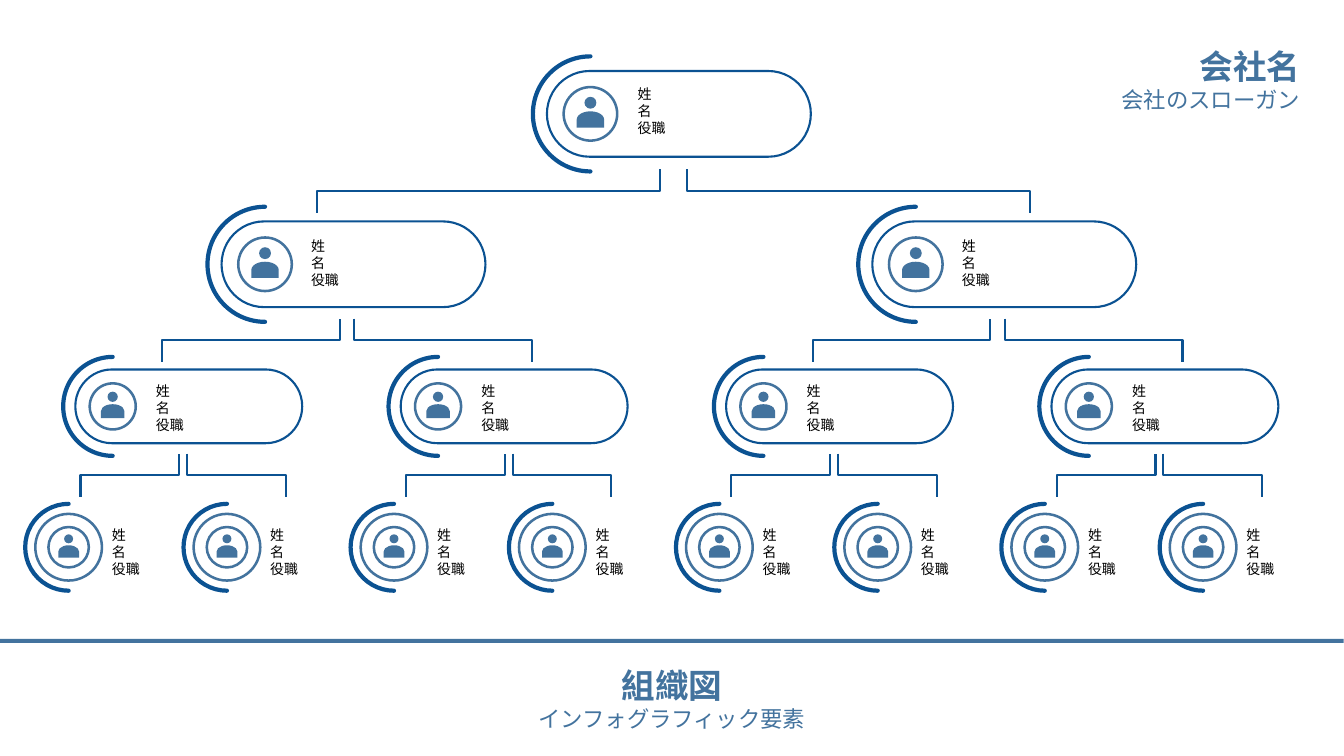
import pptx
import pptx.util
import pptx.dml.color
import pptx.enum.shapes
import pptx.enum.text
import lxml.etree

Cm = pptx.util.Cm
Pt = pptx.util.Pt
RGB = pptx.dml.color.RGBColor
Kind = pptx.enum.shapes.MSO_SHAPE
Align = pptx.enum.text.PP_ALIGN

hues = {"navy": "0B5292", "steel": "43739E", "blue": "0F6FC6",
        "white": "FFFFFF", "black": "000000"}
face = "DejaVu Serif"
head = {"name": face, "size": Pt(24), "bold": True}
sub = {"name": face, "size": Pt(16), "bold": False}
small = {"name": face, "size": Pt(10)}

deck = pptx.Presentation()
deck.slide_width = Cm(33.87)
deck.slide_height = Cm(19.05)
slide = deck.slides.add_slide(deck.slide_layouts[6])


def draw(home, kind, mid, size, fill=None, line=None, width=0, turn=0):
    (x, y), (w, h) = mid, size
    shape = home.add_shape(kind, Cm(x - w / 2), Cm(y - h / 2), Cm(w), Cm(h))
    shape.shadow.inherit = False
    shape.rotation = turn
    if fill:
        shape.fill.solid()
        shape.fill.fore_color.rgb = RGB.from_string(hues[fill])
    else:
        shape.fill.background()
    if line:
        shape.line.color.rgb = RGB.from_string(hues[line])
        shape.line.width = Pt(width)
    else:
        shape.line.fill.background()
    return shape


def write(home, x, y, w, h, rows, hue, align=Align.LEFT):
    frame = home.add_textbox(Cm(x), Cm(y), Cm(w), Cm(h)).text_frame
    frame.word_wrap = True
    frame.auto_size = pptx.enum.text.MSO_AUTO_SIZE.SHAPE_TO_FIT_TEXT
    for i, (words, style) in enumerate(rows):
        para = frame.add_paragraph() if i else frame.paragraphs[0]
        para.alignment = align
        run = para.add_run()
        run.text = words
        for key, value in style.items():
            setattr(run.font, key, value)
        run.font.color.rgb = RGB.from_string(hues[hue])


write(slide.shapes, 0, 16.64, 33.87, 1.96,
      [("組織図", head), ("インフォグラフィック要素", sub)], "steel", Align.CENTER)
write(slide.shapes, 23.62, 1.04, 9.4, 1.96,
      [("会社名", head), ("会社のスローガン", sub)], "steel", Align.RIGHT)
draw(slide.shapes, Kind.RECTANGLE, (16.93, 16.15), (33.87, 0.1), "steel")

pitch = 8.2
ranks = [
    {"xs": [14.88], "y": 2.87, "scale": 1, "text": (0.94, -0.84, 4.52),
     "fork": (2.1, 4.27, 0.34, 8.64)},
    {"xs": [6.68 + 2 * pitch * i for i in range(2)], "y": 6.66, "scale": 1,
     "text": (0.91, -0.8, 4.5), "fork": (2.06, 8.03, 0.18, 4.48)},
    {"xs": [2.84 + pitch * i for i in range(4)], "y": 10.24, "scale": 0.86,
     "text": (0.84, -0.72, 3.78), "fork": (1.78, 11.43, 0.1, 2.49)},
    {"xs": [1.73 + pitch * i + 3.99 * j for i in range(4) for j in range(2)],
     "y": 13.79, "scale": 0.755, "text": (0.84, -0.64, 2.06), "fork": None},
]
names = [(words, small) for words in ("姓", "名", "役職")]
drop = 1.09

for rank in ranks:
    y, k = rank["y"], rank["scale"]
    for x in rank["xs"]:
        card = slide.shapes.add_group_shape().shapes
        if rank["fork"]:
            draw(card, Kind.FLOWCHART_TERMINATOR, (x + 2.23 * k, y),
                 (6.65 * k, 2.16 * k), "white", "navy", 1.5)
        else:
            draw(card, Kind.OVAL, (x, y), (1.68, 1.68), None, "steel", 1.8)
        arc = draw(card, Kind.BLOCK_ARC, (x, y), (2.9 * k, 2.9 * k),
                   "blue", "navy", 3, 270)
        arc.adjustments[2] = 0
        draw(card, Kind.OVAL, (x, y), (1.35 * k, 1.35 * k), None, "steel", 1.8)
        draw(card, Kind.OVAL, (x, y - 0.28 * k), (0.3 * k, 0.3 * k), "steel")
        draw(card, Kind.FLOWCHART_DELAY, (x, y + 0.14 * k),
             (0.41 * k, 0.69 * k), "steel", turn=270)
        dx, dy, wide = rank["text"]
        write(card, x + dx, y + dy, wide, 1.52, names, "black")

        if rank["fork"]:
            shift, top, gap, reach = rank["fork"]
            for side in (-1, 1):
                mid = x + shift + side * (gap + reach / 2)
                level = top + drop / 2
                wire = slide.shapes.add_connector(
                    pptx.enum.shapes.MSO_CONNECTOR.ELBOW,
                    Cm(mid + side * drop / 2), Cm(level - reach / 2),
                    Cm(mid - side * drop / 2), Cm(level + reach / 2))
                wire.line.color.rgb = RGB.from_string(hues["navy"])
                wire.line.width = Pt(1.5)
                props = wire._element.spPr
                props.find(pptx.oxml.ns.qn("a:xfrm")).set("rot", "16200000")
                lxml.etree.SubElement(props, pptx.oxml.ns.qn("a:effectLst"))

deck.save("out.pptx")
